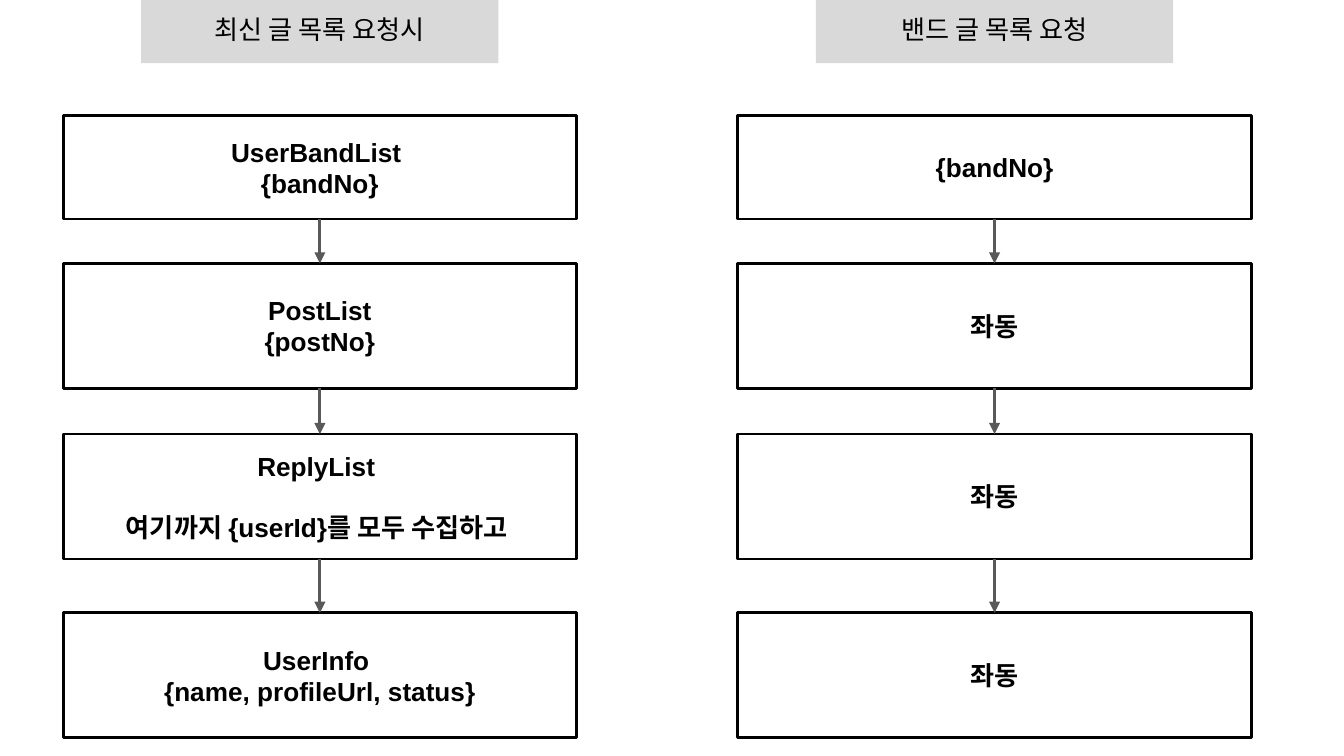
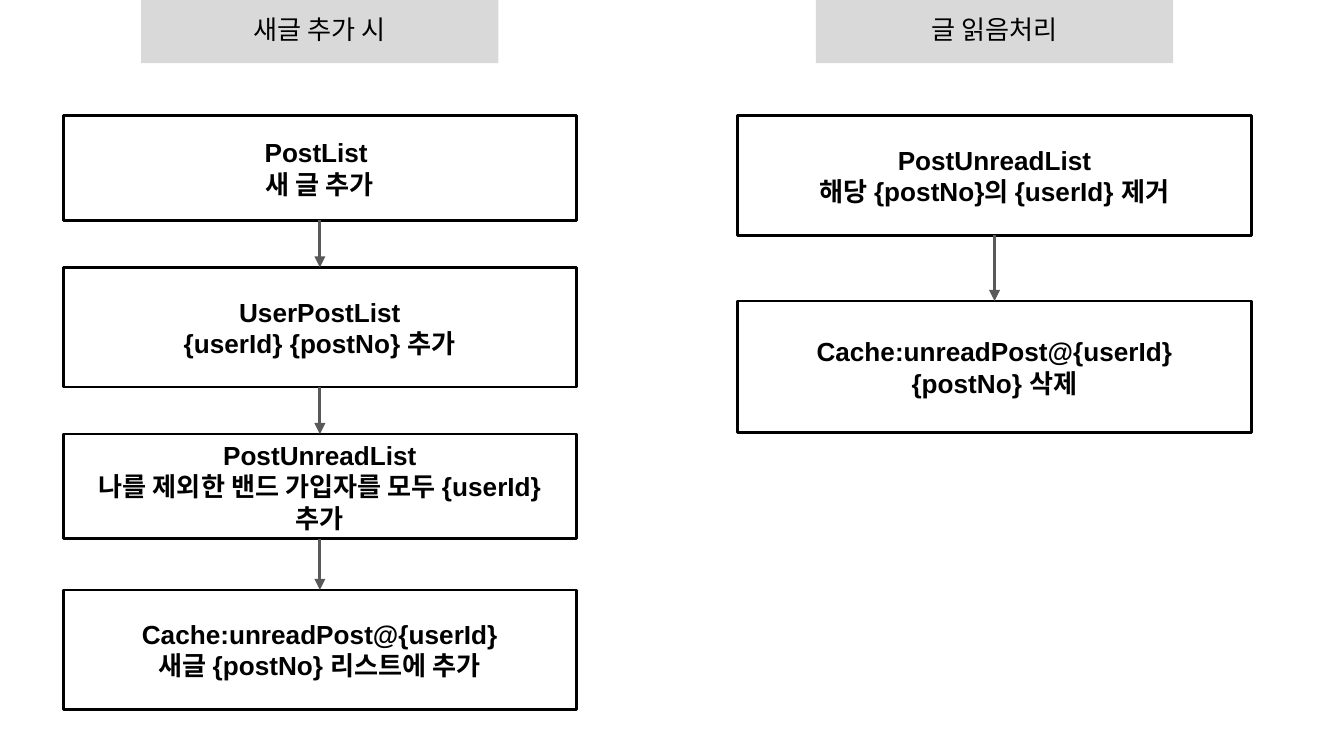
from dataclasses import dataclass

import pptx
import pptx.dml.color
import pptx.enum.shapes
import pptx.enum.text
import pptx.oxml.ns
import pptx.util
from lxml import etree
from pptx.util import Inches

# Shared look
FONT = "Arial"
TEXT_SIZE = pptx.util.Pt(14)
LINE_WIDTH = pptx.util.Pt(1.5)
BLACK = "000000"
HEADING_FILL = "D9D9D9"
ARROW_COLOR = "595959"

# Shared geometry, in inches
COLUMN_LEFTS = (0.47, 5.49)
STEP_WIDTH = 3.82
HEADING_WIDTH, HEADING_HEIGHT = 2.66, 0.47
INSET = 0.1


@dataclass
class Step:
    """One box of a flow; gap_before (points) sets off its last line."""
    top: float
    height: float
    lines: tuple[str, ...]
    gap_before: float = 0


@dataclass
class Flow:
    """A heading and the steps that follow it from top to bottom."""
    heading: str
    steps: list[Step]


def rgb(value: str) -> pptx.dml.color.RGBColor:
    return pptx.dml.color.RGBColor.from_string(value)


def write_lines(shape, lines: tuple[str, ...], bold: bool, gap_before: float = 0) -> None:
    """Fill a shape with centred lines, one paragraph each."""
    frame = shape.text_frame
    frame.word_wrap = True
    frame.margin_left = frame.margin_right = Inches(INSET)
    frame.margin_top = frame.margin_bottom = Inches(INSET)
    for number, line in enumerate(lines):
        paragraph = frame.add_paragraph() if number else frame.paragraphs[0]
        paragraph.alignment = pptx.enum.text.PP_ALIGN.CENTER
        run = paragraph.add_run()
        run.text = line
        run.font.name = FONT
        run.font.size = TEXT_SIZE
        run.font.bold = bold
        run.font.color.rgb = rgb(BLACK)
    if gap_before:
        frame.paragraphs[-1].space_before = pptx.util.Pt(gap_before)


def add_box(slide, left: float, top: float, width: float, height: float):
    box = slide.shapes.add_shape(
        pptx.enum.shapes.MSO_SHAPE.RECTANGLE,
        Inches(left), Inches(top), Inches(width), Inches(height))
    box.shadow.inherit = False
    return box


def add_heading(slide, column_left: float, text: str) -> None:
    """Grey tab at the top edge, centred over its column."""
    left = column_left + (STEP_WIDTH - HEADING_WIDTH) / 2
    heading = add_box(slide, left, 0, HEADING_WIDTH, HEADING_HEIGHT)
    heading.fill.solid()
    heading.fill.fore_color.rgb = rgb(HEADING_FILL)
    heading.line.fill.background()
    heading.text_frame.vertical_anchor = pptx.enum.text.MSO_ANCHOR.TOP
    write_lines(heading, (text,), bold=False)


def add_step(slide, column_left: float, step: Step):
    box = add_box(slide, column_left, step.top, STEP_WIDTH, step.height)
    box.fill.background()
    box.line.color.rgb = rgb(BLACK)
    box.line.width = LINE_WIDTH
    box.text_frame.vertical_anchor = pptx.enum.text.MSO_ANCHOR.MIDDLE
    write_lines(box, step.lines, bold=True, gap_before=step.gap_before)
    return box


def add_arrow(slide, upper, lower) -> None:
    """Arrow from the bottom of one step to the top of the next."""
    arrow = slide.shapes.add_connector(
        pptx.enum.shapes.MSO_CONNECTOR.STRAIGHT, 0, 0, 0, 0)
    arrow.begin_connect(upper, 2)
    arrow.end_connect(lower, 0)
    arrow.line.color.rgb = rgb(ARROW_COLOR)
    arrow.line.width = LINE_WIDTH
    tail = etree.SubElement(arrow.line._get_or_add_ln(), pptx.oxml.ns.qn("a:tailEnd"))
    tail.set("type", "triangle")
    etree.SubElement(arrow._element.spPr, pptx.oxml.ns.qn("a:effectLst"))


def add_flow(slide, column_left: float, flow: Flow) -> None:
    add_heading(slide, column_left, flow.heading)
    boxes = [add_step(slide, column_left, step) for step in flow.steps]
    for upper, lower in zip(boxes, boxes[1:]):
        add_arrow(slide, upper, lower)


# Reading posts: both flows share the same rows
READ_ROWS = ((0.86, 0.77), (1.96, 0.93), (3.23, 0.93), (4.56, 0.93))
LATEST_LINES = (
    ("UserBandList ", "{bandNo}"),
    ("PostList", "{postNo}"),
    ("ReplyList ", "여기까지 {userId}를 모두 수집하고 "),
    ("UserInfo ", "{name, profileUrl, status}"),
)
BAND_LINES = (("{bandNo}",), ("좌동",), ("좌동",), ("좌동",))

latest_steps = [Step(*row, lines) for row, lines in zip(READ_ROWS, LATEST_LINES)]
latest_steps[2].gap_before = 16
band_steps = [Step(*row, lines) for row, lines in zip(READ_ROWS, BAND_LINES)]

# Writing a post and marking it as read
new_post_steps = [
    Step(0.86, 0.78, ("PostList ", "새 글 추가")),
    Step(1.99, 0.89, ("UserPostList", "{userId} {postNo} 추가")),
    Step(3.23, 0.78, ("PostUnreadList", "나를 제외한 밴드 가입자를 모두 {userId} 추가")),
    Step(4.39, 0.89, ("Cache:unreadPost@{userId}", "새글 {postNo} 리스트에 추가")),
]
mark_read_steps = [
    Step(0.86, 0.89, ("PostUnreadList", "해당 {postNo}의 {userId} 제거")),
    Step(2.24, 0.98, ("Cache:unreadPost@{userId}", "{postNo} 삭제")),
]

SLIDES = (
    (Flow("최신 글 목록 요청시", latest_steps), Flow("밴드 글 목록 요청", band_steps)),
    (Flow("새글 추가 시", new_post_steps), Flow("글 읽음처리", mark_read_steps)),
)

# Build the deck at 16:9
deck = pptx.Presentation()
deck.slide_width = Inches(10)
deck.slide_height = Inches(10 * 9 / 16)
blank_layout = deck.slide_layouts.get_by_name("Blank")

for flows in SLIDES:
    slide = deck.slides.add_slide(blank_layout)
    for column_left, flow in zip(COLUMN_LEFTS, flows):
        add_flow(slide, column_left, flow)

deck.save("out.pptx")
